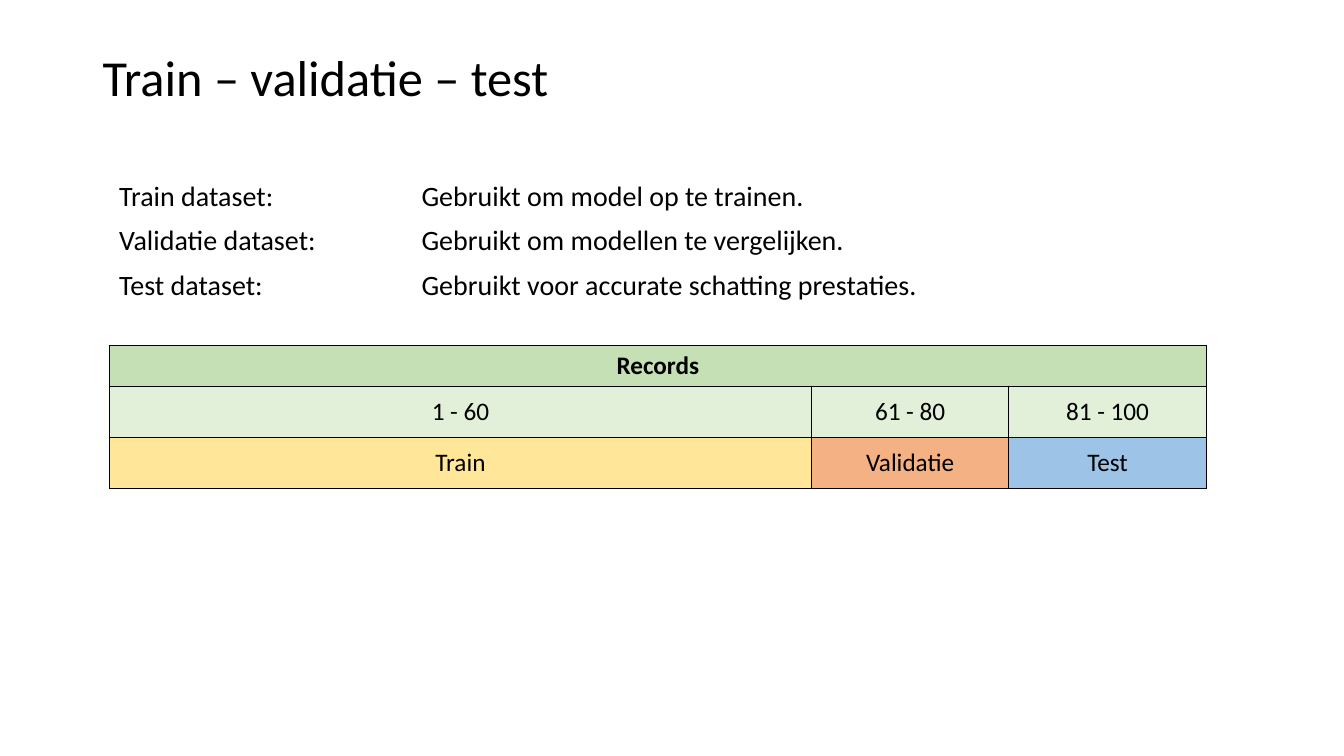
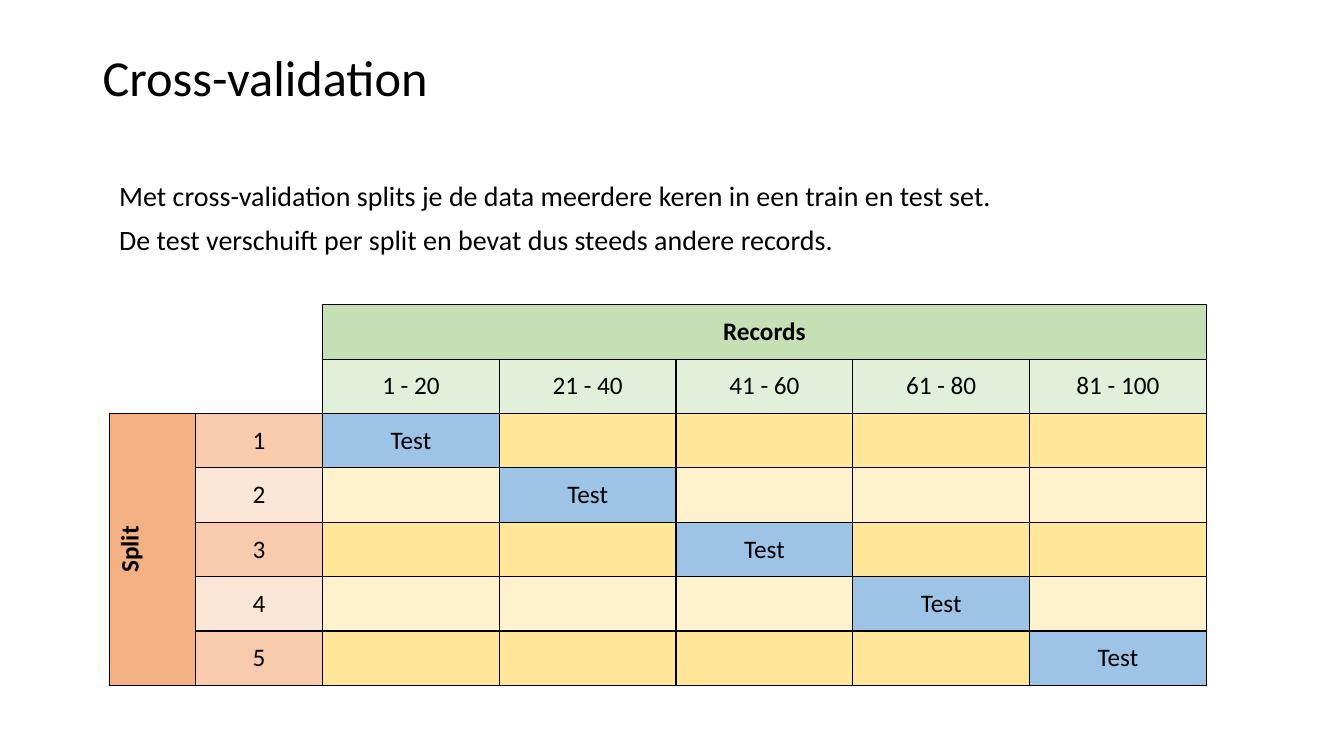
from lxml.etree import SubElement
from pptx import Presentation
from pptx.dml.color import RGBColor
from pptx.enum.text import MSO_ANCHOR, MSO_AUTO_SIZE, PP_ALIGN
from pptx.oxml.ns import qn
from pptx.util import Cm, Pt

FONT = "Calibri"
BLACK = RGBColor(0x00, 0x00, 0x00)
GREEN = RGBColor(0xC5, 0xE0, 0xB4)
MINT = RGBColor(0xE2, 0xF0, 0xD9)
GOLD = RGBColor(0xFF, 0xE6, 0x99)
CREAM = RGBColor(0xFF, 0xF2, 0xCC)
RUST = RGBColor(0xF4, 0xB1, 0x83)
PEACH = RGBColor(0xF8, 0xCB, 0xAD)
BLUSH = RGBColor(0xFB, 0xE5, 0xD6)
BLUE = RGBColor(0x9D, 0xC3, 0xE6)

# Boxes as left, top, width, height in cm
TITLE = (2.33, 1.02, 29.21, 2.0)
BODY = (2.75, 4.47, 27.64, 13.1)
LEFT, WIDTH = 2.76, 27.64
TAB = 2.54
SIDES = "LRTB"


def write(frame, *lines, size=18, bold=False, align=PP_ALIGN.LEFT,
          space=1.0, before=0):
    """Fill a text frame with one paragraph per line."""
    for i, line in enumerate(lines):
        para = frame.paragraphs[0] if i == 0 else frame.add_paragraph()
        para.alignment = align
        para.line_spacing = space
        para.space_before = Pt(before)
        run = para.add_run()
        run.text = line
        font = run.font
        font.name, font.size, font.bold = FONT, Pt(size), bold
        font.color.rgb = BLACK


def place(shape, box, anchor):
    """Move a placeholder to its box and return its text frame."""
    shape.left, shape.top, shape.width, shape.height = map(Cm, box)
    frame = shape.text_frame
    frame.word_wrap = True
    frame.auto_size = MSO_AUTO_SIZE.NONE
    frame.vertical_anchor = anchor
    return frame


def start(deck, title, *lines):
    """Add a slide with its title and plain body lines."""
    slide = deck.slides.add_slide(deck.slide_layouts[1])
    head, body = slide.placeholders
    write(place(head, TITLE, MSO_ANCHOR.MIDDLE), title, size=36, space=0.9)
    frame = place(body, BODY, MSO_ANCHOR.TOP)
    write(frame, *lines, size=20, space=0.9, before=10)
    for para in frame.paragraphs:
        props = para._p.get_or_add_pPr()
        props.set("marL", "0")
        props.set("indent", "0")
        props.set("defTabSz", str(Cm(TAB)))
        SubElement(props, qn("a:buNone"))
    return slide


def add_grid(slide, box, cols, rows):
    """Add a table with the given column and row sizes."""
    shape = slide.shapes.add_table(len(rows), len(cols), *map(Cm, box))
    table = shape.table
    table.first_row = table.horz_banding = False
    for col, width in zip(table.columns, cols):
        col.width = Cm(width)
    for row, height in zip(table.rows, rows):
        row.height = Cm(height)
    return table


def paint(cell, fill=None, text="", bold=False, edges=SIDES):
    """Give a cell its borders, fill and centred text."""
    props = cell._tc.get_or_add_tcPr()
    for side in SIDES:
        line = SubElement(props, qn(f"a:ln{side}"), w=str(Pt(1)))
        if side in edges:
            solid = SubElement(line, qn("a:solidFill"))
            SubElement(solid, qn("a:srgbClr"), val=str(BLACK))
        else:
            SubElement(line, qn("a:noFill"))
    if fill is None:
        cell.fill.background()
    else:
        cell.fill.solid()
        cell.fill.fore_color.rgb = fill
    cell.vertical_anchor = MSO_ANCHOR.MIDDLE
    if text:
        write(cell.text_frame, text, bold=bold, align=PP_ALIGN.CENTER)


def span(table, first, last, fill, text):
    """Merge a block of cells under one bold heading."""
    (top, left), (low, right) = first, last
    table.cell(*first).merge(table.cell(*last))
    for r in range(top, low + 1):
        for c in range(left, right + 1):
            label = text if (r, c) == first else ""
            paint(table.cell(r, c), fill, label, bold=True)


def add_parts(slide, left, top, width):
    """Bar of records cut in train, validation and test."""
    side = width * 0.18
    cols = [width - 2 * side, side, side]
    rows = [1.03, 1.29, 1.29]
    table = add_grid(slide, (left, top, width, sum(rows)), cols, rows)
    span(table, (0, 0), (0, 2), GREEN, "Records")
    parts = [("1 - 60", "Train", GOLD), ("61 - 80", "Validatie", RUST),
             ("81 - 100", "Test", BLUE)]
    for c, (label, name, fill) in enumerate(parts):
        paint(table.cell(1, c), MINT, label)
        paint(table.cell(2, c), fill, name)


def add_folds(slide, left, top, width, count=5):
    """Grid of splits in which the test block moves along."""
    lead = [2.17, 3.2]
    cols = lead + [(width - sum(lead)) / count] * count
    rows = [1.37] * (count + 2)
    table = add_grid(slide, (left, top, width, sum(rows)), cols, rows)

    # Open corner
    for r, c, edges in [(0, 0, ""), (0, 1, "R"), (1, 0, "B"), (1, 1, "RB")]:
        paint(table.cell(r, c), edges=edges)

    # Headings
    span(table, (0, 2), (0, count + 1), GREEN, "Records")
    span(table, (2, 0), (count + 1, 0), RUST, "Split")
    table.cell(2, 0)._tc.get_or_add_tcPr().set("vert", "vert270")

    # Record ranges, split numbers and blocks
    step = 100 // count
    for i in range(count):
        paint(table.cell(1, i + 2), MINT, f"{i * step + 1} - {(i + 1) * step}")
        tint, fill = (BLUSH, CREAM) if i % 2 else (PEACH, GOLD)
        paint(table.cell(i + 2, 1), tint, str(i + 1))
        for j in range(count):
            cell = table.cell(i + 2, j + 2)
            if i == j:
                paint(cell, BLUE, "Test")
            else:
                paint(cell, fill)


def main():
    deck = Presentation()
    deck.slide_width, deck.slide_height = Cm(33.87), Cm(19.05)

    slide = start(deck, "Train – validatie – test",
                  "Train dataset:\t\tGebruikt om model op te trainen.",
                  "Validatie dataset:\t\tGebruikt om modellen te vergelijken.",
                  "Test dataset:\t\tGebruikt voor accurate schatting prestaties.")
    add_parts(slide, LEFT, 8.7, WIDTH)

    slide = start(deck, "Cross-validation",
                  "Met cross-validation splits je de data meerdere keren "
                  "in een train en test set.",
                  "De test verschuift per split en bevat dus steeds "
                  "andere records.")
    add_folds(slide, LEFT, 7.68, WIDTH)

    deck.save("out.pptx")


if __name__ == "__main__":
    main()
